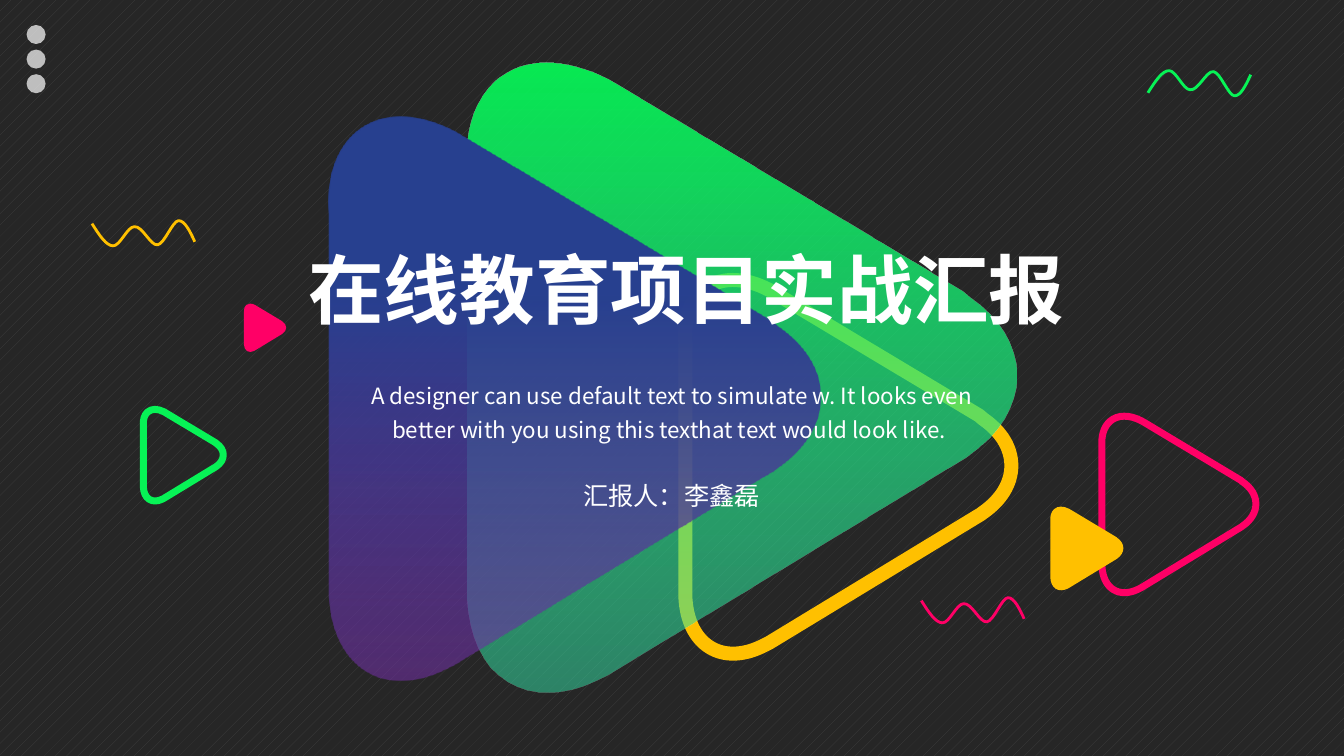
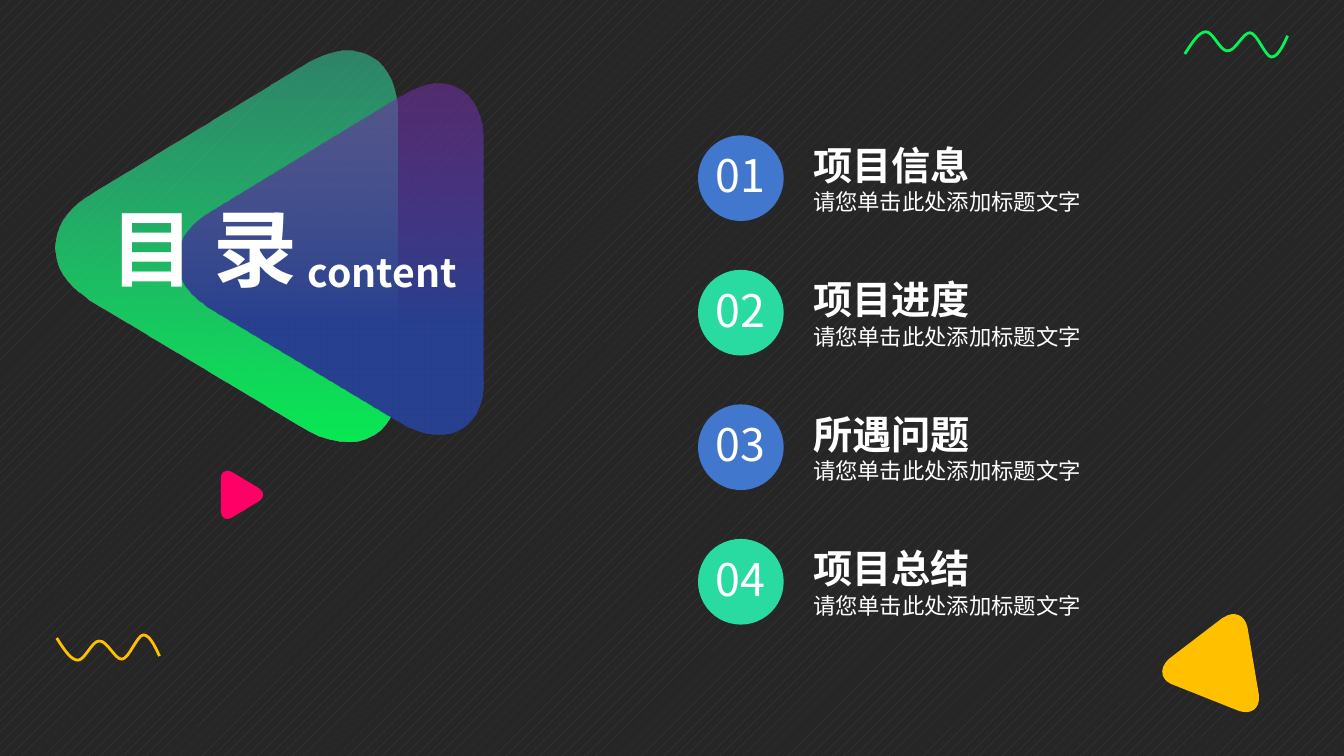
from lxml.etree import SubElement
from pptx import Presentation
from pptx.dml.color import RGBColor
from pptx.enum.dml import MSO_PATTERN
from pptx.enum.shapes import MSO_SHAPE
from pptx.enum.text import MSO_ANCHOR as Anchor, MSO_AUTO_SIZE as AutoSize, PP_ALIGN as Align
from pptx.oxml.ns import qn
from pptx.util import Cm, Pt

FONT = "Noto Sans CJK SC"
TITLE_ONLY = 5

WHITE = RGBColor(0xFF, 0xFF, 0xFF)
CHARCOAL = RGBColor(0x26, 0x26, 0x26)
GREY = RGBColor(0x40, 0x40, 0x40)
PINK = RGBColor(0xFF, 0x00, 0x66)
AMBER = RGBColor(0xFF, 0xC0, 0x00)
NEON = RGBColor(0x07, 0xF3, 0x56)
BLUE = RGBColor(0x42, 0x77, 0xCE)
MINT = RGBColor(0x29, 0xDB, 0xA0)

# Gradient stops: position, colour, opacity in percent
GREEN_FADE = ((0, RGBColor(0x07, 0xF7, 0x57), 94), (1, RGBColor(0x36, 0xDE, 0xA6), 51))
BLUE_FADE = ((0.31, RGBColor(0x27, 0x40, 0x8F), 100), (1, RGBColor(0x70, 0x30, 0xA0), 58))

# Outlines: one point is a line, three points are a Bezier curve
TRIANGLE_SIZE = (625, 545)
TRIANGLE = (
    ((311, 0),),
    ((341, 0), (369, 18), (389, 47)),
    ((392, 51),), ((607, 405),), ((613, 417),),
    ((628, 448), (630, 480), (614, 505)),
    ((598, 530), (568, 543), (532, 545)),
    ((108, 545),),
    ((71, 548), (39, 539), (19, 517)),
    ((-6, 489), (-5, 447), (17, 405)),
    ((24, 393),), ((227, 54),), ((233, 47),),
    ((253, 18), (280, 0), (311, 0)),
)
WAVE_SIZE = (102, 25)
WAVE = (
    ((0, 22),),
    ((7, 11), (14, 0), (21, 0)),
    ((28, 0), (35, 19), (42, 19)),
    ((50, 20), (58, 0), (65, 1)),
    ((72, 2), (80, 25), (86, 25)),
    ((92, 25), (97, 15), (102, 4)),
)
WAVE_FLIPPED = tuple(tuple((x, WAVE_SIZE[1] - y) for x, y in segment) for segment in WAVE)


def trace(path, outline, size, closed):
    """Fill a path element with the lines and curves of an outline."""
    for child in list(path):
        path.remove(child)
    path.set("w", str(size[0]))
    path.set("h", str(size[1]))
    for index, segment in enumerate(outline):
        tag = "a:moveTo" if index == 0 else "a:lnTo" if len(segment) == 1 else "a:cubicBezTo"
        step = SubElement(path, qn(tag))
        for x, y in segment:
            SubElement(step, qn("a:pt"), x=str(x), y=str(y))
    if closed:
        SubElement(path, qn("a:close"))


def set_opacity(shape, percents):
    colours = shape._element.spPr.iter(qn("a:srgbClr"))
    for colour, percent in zip(colours, percents):
        SubElement(colour, qn("a:alpha")).set("val", str(percent * 1000))


def write(frame, text, size, bold=False, align=Align.LEFT, line_spacing=1.0, space_after=0):
    """Add a paragraph, using the empty first one when there is one."""
    paragraph = frame.add_paragraph() if frame.text else frame.paragraphs[0]
    paragraph.alignment = align
    paragraph.line_spacing = line_spacing
    paragraph.space_after = Pt(space_after)
    run = paragraph.add_run()
    run.text = text
    font = run.font
    font.name, font.size, font.bold = FONT, Pt(size), bold
    font.color.rgb = WHITE
    SubElement(run._r.get_or_add_rPr(), qn("a:ea")).set("typeface", FONT)


class Deck:
    """Holds the presentation, its shared style and the current slide."""

    def __init__(self):
        self.presentation = Presentation()
        self.presentation.slide_width = Cm(33.87)
        self.presentation.slide_height = Cm(19.05)
        fill = self.presentation.slide_master.background.fill
        fill.patterned()
        fill.pattern = MSO_PATTERN.PERCENT_10
        fill.fore_color.rgb, fill.back_color.rgb = GREY, CHARCOAL
        self.slide = None

    def add_slide(self):
        layout = self.presentation.slide_layouts[TITLE_ONLY]
        self.slide = self.presentation.slides.add_slide(layout)

    @staticmethod
    def style(shape, fill=None, line=None, line_width=2):
        shape.shadow.inherit = False
        if fill is None:
            shape.fill.background()
        else:
            shape.fill.solid()
            shape.fill.fore_color.rgb = fill
        if line is None:
            shape.line.fill.background()
        else:
            shape.line.color.rgb = line
            shape.line.width = Pt(line_width)
        return shape

    def outline(self, outline, size, left, top, width, closed, **style):
        """Draw an outline, given on a grid of this size, at the wanted width."""
        builder = self.slide.shapes.build_freeform()
        builder.add_line_segments([size], close=closed)
        shape = builder.convert_to_shape()
        trace(next(shape._element.iter(qn("a:path"))), outline, size, closed)
        height = width * size[1] / size[0]
        shape.left, shape.top, shape.width, shape.height = map(Cm, (left, top, width, height))
        return self.style(shape, **style)

    def triangle(self, center_x, center_y, base, rotation=90, **style):
        """Rounded triangle that points up before it is turned."""
        height = base * TRIANGLE_SIZE[1] / TRIANGLE_SIZE[0]
        shape = self.outline(TRIANGLE, TRIANGLE_SIZE, center_x - base / 2,
                             center_y - height / 2, base, True, **style)
        shape.rotation = rotation
        return shape

    def faded_triangle(self, center_x, center_y, base, stops, rotation=90):
        shape = self.triangle(center_x, center_y, base, rotation)
        shape.fill.gradient()
        shape.fill.gradient_angle = 0
        for stop, (position, colour, _) in zip(shape.fill.gradient_stops, stops):
            stop.position, stop.color.rgb = position, colour
        set_opacity(shape, [opacity for _, _, opacity in stops])

    def wave(self, left, top, colour, outline=WAVE):
        self.outline(outline, WAVE_SIZE, left, top, 2.59, False, line=colour)

    def preset(self, kind, left, top, width, height, fill=None):
        shape = self.slide.shapes.add_shape(kind, *map(Cm, (left, top, width, height)))
        return self.style(shape, fill)

    def circle(self, left, top, size, colour):
        return self.preset(MSO_SHAPE.OVAL, left, top, size, size, colour)

    def title(self, text, left, top, width, height, size, wrap=True):
        title = self.slide.shapes.title
        title.left, title.top, title.width, title.height = map(Cm, (left, top, width, height))
        self.slide.shapes._spTree.append(title._element)
        frame = title.text_frame
        frame.auto_size = AutoSize.NONE
        frame.vertical_anchor = Anchor.TOP
        frame.word_wrap = wrap
        write(frame, text, size, bold=True, align=Align.CENTER)

    def text_box(self, left, top, width, height, wrap=True):
        box = self.slide.shapes.add_textbox(*map(Cm, (left, top, width, height)))
        box.text_frame.word_wrap = wrap
        return box.text_frame

    def pill(self, text, left, top, width, height, size):
        shape = self.preset(MSO_SHAPE.ROUNDED_RECTANGLE, left, top, width, height)
        shape.adjustments[0] = 0.5
        shape.text_frame.vertical_anchor = Anchor.MIDDLE
        write(shape.text_frame, text, size, align=Align.CENTER)


def add_cover(deck):
    deck.add_slide()
    deck.triangle(29.71, 12.71, 4.45, line=PINK, line_width=5)
    deck.triangle(27.39, 13.82, 2.11, fill=AMBER)
    deck.triangle(4.62, 11.47, 2.31, line=NEON, line_width=5)
    deck.triangle(6.68, 8.26, 1.22, fill=PINK)
    deck.triangle(21.38, 11.76, 9.42, line=AMBER, line_width=10)
    deck.faded_triangle(18.69, 9.51, 15.88, GREEN_FADE)
    deck.faded_triangle(14.48, 10.03, 14.22, BLUE_FADE)
    deck.wave(28.93, 1.78, NEON)
    deck.wave(2.32, 5.56, AMBER, WAVE_FLIPPED)
    deck.wave(23.22, 15.06, PINK, WAVE_FLIPPED)
    for row in range(3):
        set_opacity(deck.circle(0.67, 0.63 + 0.62 * row, 0.48, WHITE), [70])
    deck.title("在线教育项目实战汇报", 7.2, 5.99, 20.19, 2.57, 54)
    write(deck.text_box(8.61, 9.34, 16.64, 1.88),
          "A designer can use default text to simulate w. It looks even better "
          "with you using this texthat text would look like. ",
          16, align=Align.CENTER, line_spacing=1.25, space_after=8)
    deck.pill("汇报人：李鑫磊", 13.94, 11.89, 5.97, 1.19, 18)


def add_contents(deck):
    deck.add_slide()
    deck.triangle(30.8, 16.54, 2.57, rotation=21.7, fill=AMBER)
    deck.triangle(6.1, 12.47, 1.22, fill=PINK)
    deck.wave(29.86, 0.8, NEON)
    deck.wave(1.43, 16, AMBER, WAVE_FLIPPED)
    deck.faded_triangle(5.7, 6.21, 9.86, GREEN_FADE, rotation=270)
    deck.faded_triangle(8.33, 6.53, 8.84, BLUE_FADE, rotation=270)
    deck.title("目 录", 2.41, 4.83, 5.44, 2.82, 60, wrap=False)
    write(deck.text_box(7.45, 6.12, 4.37, 1.45, wrap=False),
          "content", 28, bold=True, align=Align.CENTER)
    for row, heading in enumerate(("项目信息", "项目进度", "所遇问题", "项目总结")):
        top = 3.41 + 3.39 * row
        frame = deck.text_box(20.24, top + 0.02, 7.47, 2.13)
        write(frame, heading, 28, bold=True)
        write(frame, "请您单击此处添加标题文字", 16)
        deck.circle(17.59, top, 2.16, (BLUE, MINT)[row % 2]).rotation = 45
        write(deck.text_box(17.5, top + 0.19, 2.31, 1.63), f"{row + 1:02}", 32,
              align=Align.CENTER)


def main():
    deck = Deck()
    add_cover(deck)
    add_contents(deck)
    deck.presentation.save("out.pptx")


if __name__ == "__main__":
    main()
